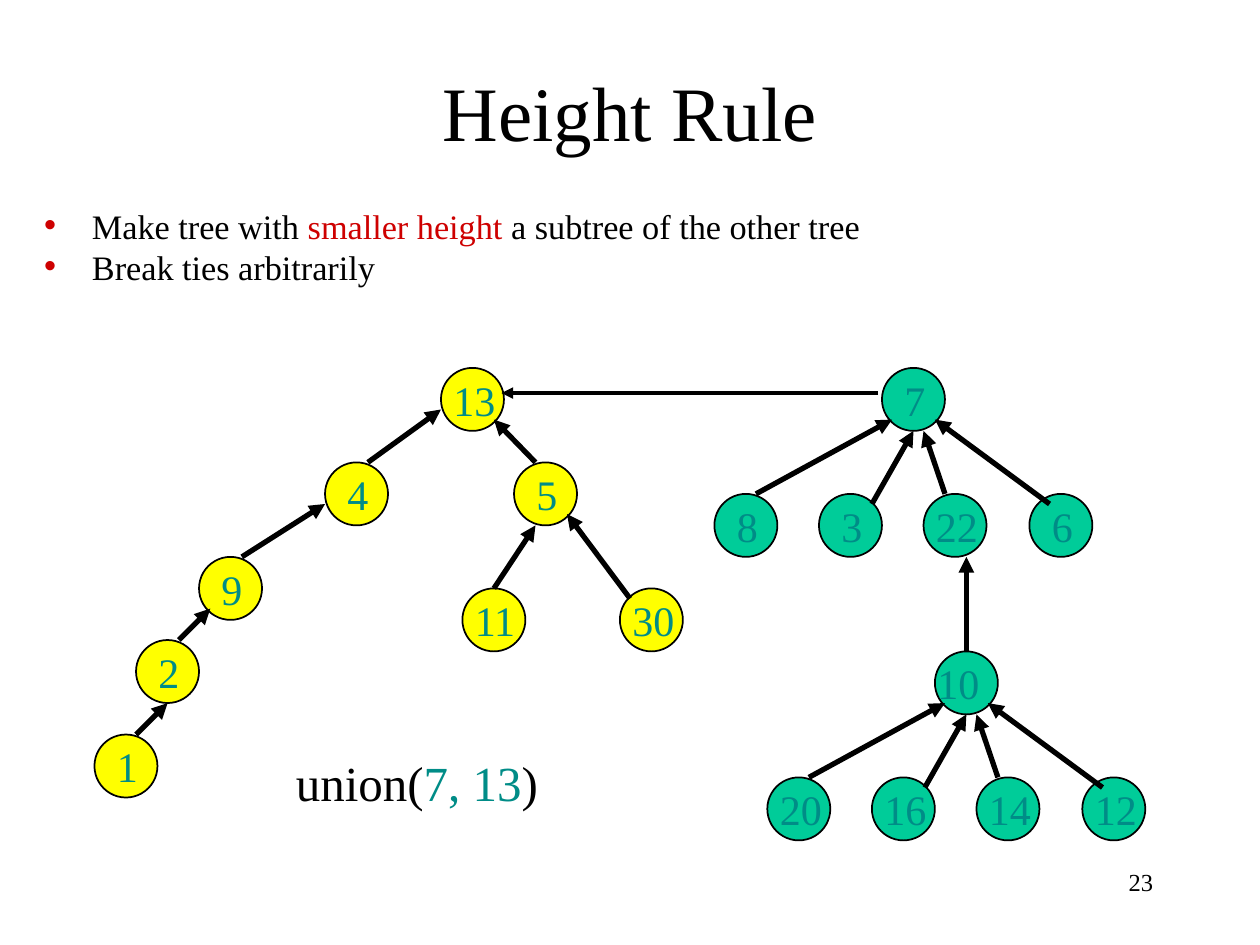
from lxml import etree
from pptx import Presentation
from pptx.dml.color import RGBColor
from pptx.enum.shapes import MSO_CONNECTOR, MSO_SHAPE
from pptx.enum.text import MSO_ANCHOR, MSO_AUTO_SIZE, PP_ALIGN
from pptx.oxml.ns import qn
from pptx.util import Inches, Pt

STRAIGHT = MSO_CONNECTOR.STRAIGHT
ELLIPSE = MSO_SHAPE.OVAL
MIDDLE = MSO_ANCHOR.MIDDLE
NO_FIT = MSO_AUTO_SIZE.NONE
LEFT, CENTER, RIGHT = PP_ALIGN.LEFT, PP_ALIGN.CENTER, PP_ALIGN.RIGHT

FONT = "Times New Roman"
COLORS = {"black": "000000", "red": "CE0000", "teal": "008C87",
          "yellow": "FFFF00", "green": "00CC99"}
NODE_SIZE = 0.5

# Left tree: label -> left and top of its circle
LEFT_NODES = {"13": (3.5, 2.92), "4": (2.58, 3.67), "5": (4.08, 3.67),
              "9": (1.58, 4.42), "11": (3.67, 4.67), "30": (4.92, 4.67),
              "2": (1.08, 5.08), "1": (0.75, 5.83)}
# Each edge runs from the parent to the child
LEFT_EDGES = [((3.5, 3.25), (2.92, 3.67)), ((3.92, 3.33), (4.25, 3.67)),
              ((2.58, 4), (1.92, 4.42)), ((4.25, 4.17), (3.92, 4.67)),
              ((4.5, 4.08), (5, 4.75)), ((1.67, 4.83), (1.42, 5.08)),
              ((1.33, 5.58), (1.08, 5.83))]

# Four children below a parent, as offsets from the parent's corner
FAN_CHILDREN = [(-1.33, 1), (-0.5, 1), (0.33, 1), (1.17, 1)]
FAN_EDGES = [((0.08, 0.41), (-1, 1)), ((0.25, 0.5), (-0.08, 1.08)),
             ((0.33, 0.5), (0.5, 1)), ((0.42, 0.41), (1.33, 1.08))]


class SlideBuilder:
    def __init__(self, slide):
        self.slide = slide
        self.shapes = slide.shapes

    def start_group(self):
        self.shapes = self.slide.shapes.add_group_shape().shapes

    def end_group(self):
        self.shapes = self.slide.shapes

    def fill_paragraph(self, para, runs, size, **formats):
        for name, value in formats.items():
            setattr(para, name, value)
        for text, color in runs:
            span = para.add_run()
            span.text = text
            for name, value in {"name": FONT, "size": Pt(size)}.items():
                setattr(span.font, name, value)
            span.font.color.rgb = RGBColor.from_string(COLORS[color])

    def place(self, box, left, top, width, height):
        values = {"left": left, "top": top, "width": width, "height": height}
        for name, value in values.items():
            setattr(box, name, Inches(value))

    def title(self, text, *area):
        box = self.slide.shapes.title
        self.place(box, *area)
        box.text_frame.vertical_anchor = MIDDLE
        self.fill_paragraph(box.text_frame.paragraphs[0], [(text, "black")],
                            44, alignment=CENTER)

    def bullets(self, items, *area):
        box = self.slide.placeholders[1]
        self.place(box, *area)
        frame = box.text_frame
        frame.auto_size = NO_FIT
        for index, runs in enumerate(items):
            para = frame.add_paragraph() if index else frame.paragraphs[0]
            self.fill_paragraph(para, runs, 19.6, line_spacing=0.7,
                                space_before=Pt(7 if index else 0))
            props = para._p.get_or_add_pPr()
            props.set("marL", str(Inches(0.38)))
            props.set("indent", str(Inches(-0.38)))
            color = etree.SubElement(props, qn("a:buClr"))
            etree.SubElement(color, qn("a:srgbClr"), val=COLORS["red"])
            etree.SubElement(props, qn("a:buChar"), char="•")

    def text(self, runs, size, *area, align=LEFT):
        box = self.shapes.add_textbox(*map(Inches, area))
        box.text_frame.word_wrap = True
        self.fill_paragraph(box.text_frame.paragraphs[0], runs, size,
                            alignment=align)

    def node(self, label, left, top, fill, shift=0):
        circle = self.shapes.add_shape(
            ELLIPSE, *map(Inches, (left, top, NODE_SIZE, NODE_SIZE)))
        circle.shadow.inherit = False
        circle.fill.solid()
        circle.fill.fore_color.rgb = RGBColor.from_string(COLORS[fill])
        circle.line.color.rgb = RGBColor.from_string(COLORS["black"])
        circle.line.width = Pt(1)
        offset, width = (0.08, 0.33) if len(label) == 1 else (shift, 0.75)
        self.text([(label, "teal")], 24, left + offset, top, width, NODE_SIZE)

    def arrow(self, start, end, width=3, tip="headEnd"):
        line = self.shapes.add_connector(STRAIGHT, *map(Inches, (*start, *end)))
        line.line.color.rgb = RGBColor.from_string(COLORS["black"])
        line.line.width = Pt(width)
        outline = line._element.spPr.find(qn("a:ln"))
        etree.SubElement(outline, qn(f"a:{tip}"), type="triangle")
        etree.SubElement(line._element.spPr, qn("a:effectLst"))

    def fan(self, parent, labels, left, top, shift=0):
        self.node(parent, left, top, "green", shift)
        for label, (across, down) in zip(labels, FAN_CHILDREN):
            self.node(label, left + across, top + down, "green")
        for edge in FAN_EDGES:
            self.arrow(*[(left + across, top + down) for across, down in edge])


def main():
    deck = Presentation()
    deck.slide_width, deck.slide_height = Inches(10), Inches(7.5)
    page = SlideBuilder(deck.slides.add_slide(deck.slide_layouts[1]))

    # Title and rule
    page.title("Height Rule", 0.75, 0.25, 8.5, 1.25)
    page.bullets([
        [("Make tree with ", "black"), ("smaller height", "red"),
         (" a subtree of the other tree", "black")],
        [("Break ties arbitrarily", "black")],
    ], 0.25, 1.67, 9.75, 0.67)

    # Left tree
    page.start_group()
    for label, (left, top) in LEFT_NODES.items():
        page.node(label, left, top, "yellow")
    for start, end in LEFT_EDGES:
        page.arrow(start, end)

    # Right tree
    page.start_group()
    page.fan("7", ["8", "3", "22", "6"], 7, 2.92)
    page.fan("10", ["20", "16", "14", "12"], 7.42, 5.17, shift=-0.08)
    page.arrow((7.67, 4.42), (7.67, 5.17))
    page.end_group()

    # Union call, joining arrow and page number
    page.text([("union(", "black"), ("7, 13", "teal"), (")", "black")],
              28, 2.25, 5.92, 2.58, 0.57)
    page.arrow((6.97, 3.12), (3.98, 3.12), width=2.25, tip="tailEnd")
    page.text([("23", "black")], 14, 7.17, 6.83, 2.08, 0.5, align=RIGHT)

    deck.save("out.pptx")


if __name__ == "__main__":
    main()
